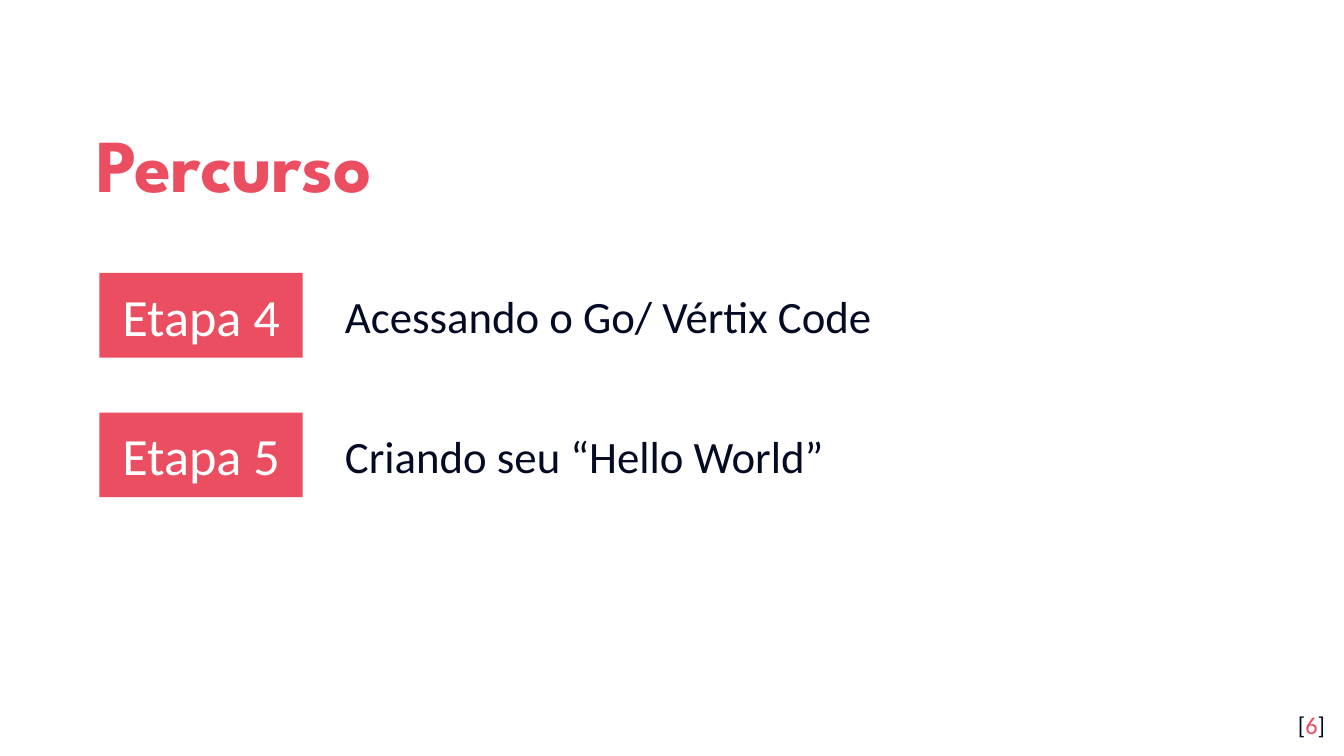
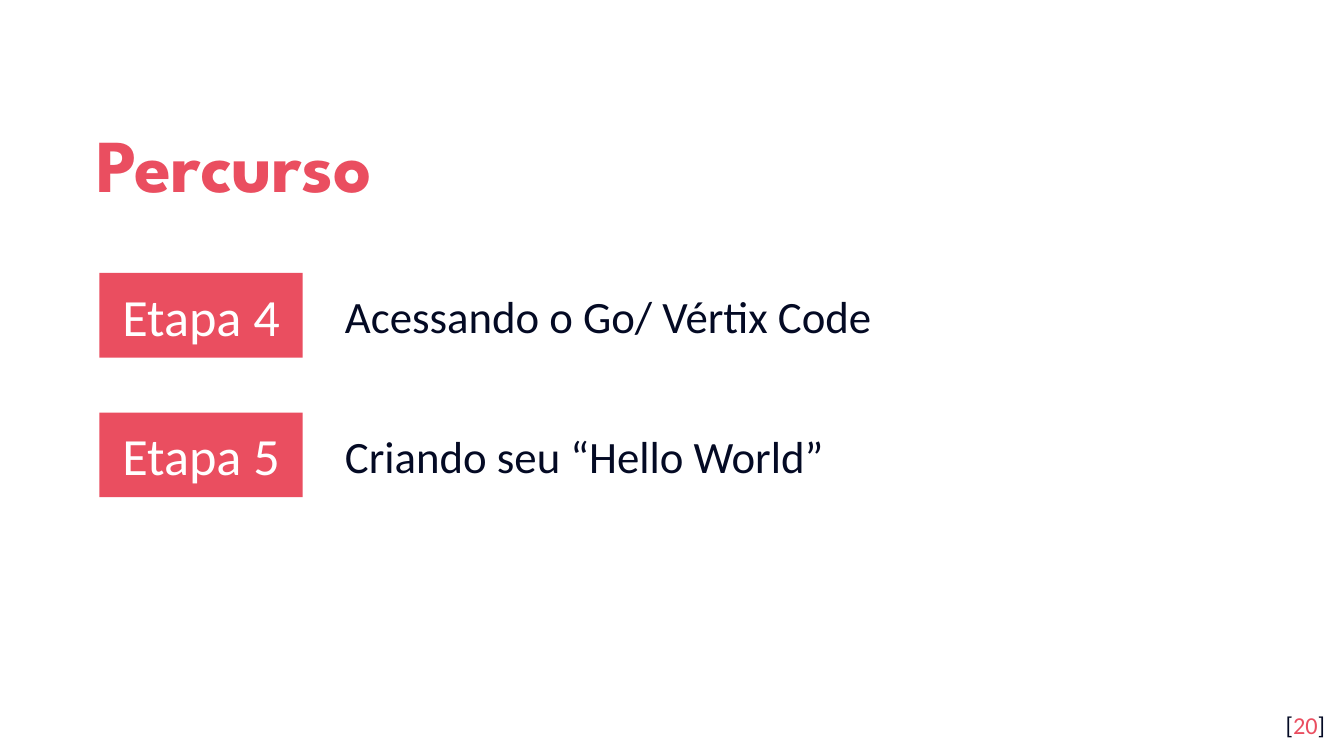
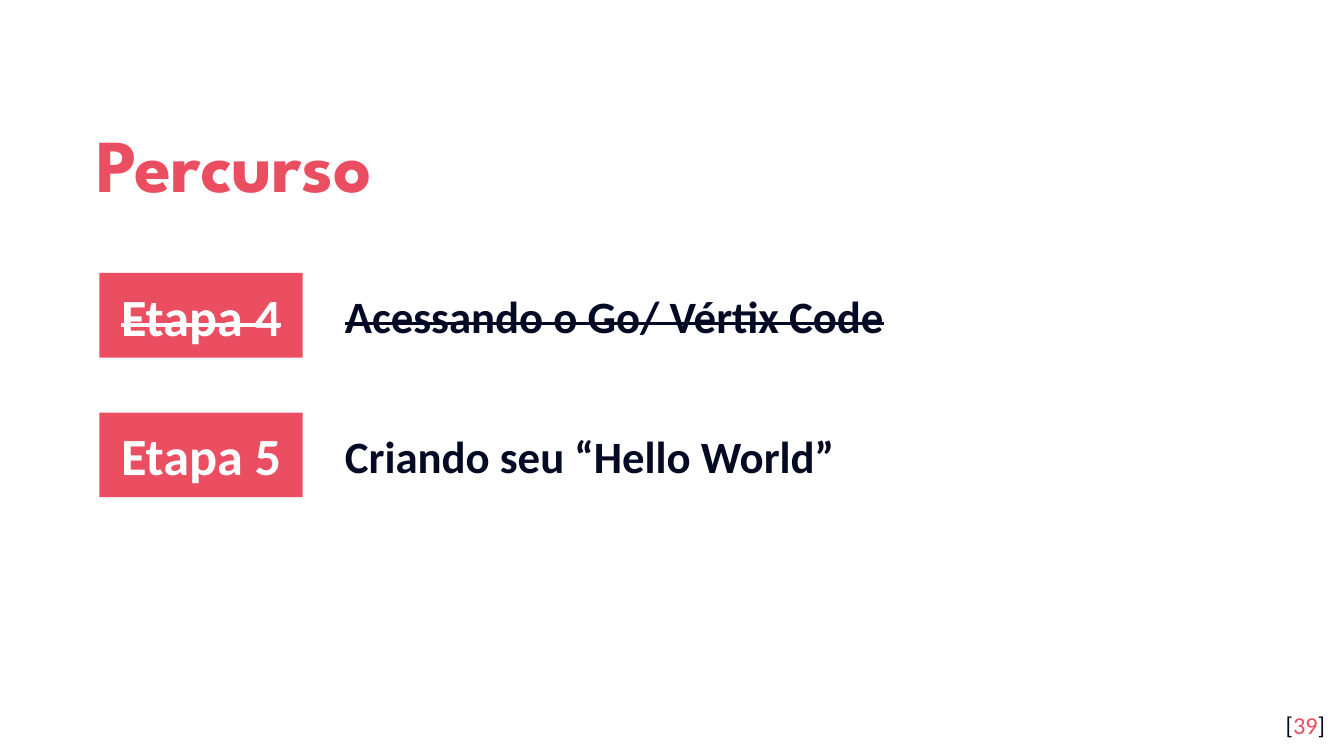
from pptx import Presentation
from pptx.dml.color import RGBColor
from pptx.enum.shapes import MSO_SHAPE
from pptx.enum.text import MSO_ANCHOR as ANCHOR, PP_ALIGN as ALIGN
from pptx.util import Cm, Pt

TITLE = "Percurso"
STEPS = [
    ("Etapa 4", "Acessando o Go/ Vértix Code"),
    ("Etapa 5", "Criando seu “Hello World”"),
]
SLIDES = [
    {"number": 6, "bold": False, "done": []},
    {"number": 20, "bold": False, "done": []},
    {"number": 39, "bold": True, "done": ["Etapa 4"]},
]

CORAL = RGBColor(0xEA, 0x4E, 0x60)
NAVY = RGBColor(0x04, 0x0A, 0x24)
WHITE = RGBColor(0xFF, 0xFF, 0xFF)
TITLE_FONT = "League Spartan"
BODY_FONT = "Calibri"

INSET = Cm(0.25)
HALF_INSET = Cm(0.13)
HANGING = Cm(1.27)
STEP_TOP = Cm(5.16)
STEP_PITCH = Cm(2.64)
BADGE_LEFT, BADGE_W, BADGE_H = Cm(1.88), Cm(3.84), Cm(1.6)
LABEL_LEFT, LABEL_W, LABEL_H = Cm(6.27), Cm(17.15), Cm(1.27)


def set_frame(sp, inset_y=INSET, anchor=ANCHOR.TOP):
    tf = sp.text_frame
    tf.word_wrap = True
    tf.vertical_anchor = anchor
    tf.margin_left = tf.margin_right = INSET
    tf.margin_top = tf.margin_bottom = inset_y
    return tf.paragraphs[0]


def set_font(p, size, color, name=BODY_FONT, bold=False):
    p.font.name, p.font.size, p.font.bold = name, Pt(size), bold
    p.font.color.rgb = color


def add_text(p, text, struck=False):
    r = p.add_run()
    r.text = text
    if struck:
        r._r.get_or_add_rPr().set("strike", "sngStrike")
    return r


def add_title(s):
    sp = s.shapes.add_textbox(Cm(1.57), Cm(1.78), Cm(20.57), Cm(2.34))
    p = set_frame(sp, anchor=ANCHOR.MIDDLE)
    p.line_spacing = 1.15
    set_font(p, 40, CORAL, TITLE_FONT, True)
    add_text(p, TITLE)


def add_step(s, top, badge, label, bold, struck):
    sp = s.shapes.add_shape(MSO_SHAPE.RECTANGLE, BADGE_LEFT, top, BADGE_W, BADGE_H)
    sp.shadow.inherit = False
    sp.fill.solid()
    sp.fill.fore_color.rgb = CORAL
    sp.line.fill.background()
    p = set_frame(sp, anchor=ANCHOR.MIDDLE)
    p.alignment = ALIGN.CENTER
    set_font(p, 28, WHITE, bold=bold)
    add_text(p, badge, struck)

    label_top = top + (BADGE_H - LABEL_H) // 2
    sp = s.shapes.add_textbox(LABEL_LEFT, label_top, LABEL_W, LABEL_H)
    p = set_frame(sp, HALF_INSET)
    pPr = p._p.get_or_add_pPr()
    pPr.set("marL", str(HANGING))
    pPr.set("indent", str(-HANGING))
    set_font(p, 24, NAVY, bold=bold)
    add_text(p, label, struck)


def add_page_number(s, number):
    sp = s.shapes.add_textbox(Cm(23.77), Cm(13.18), Cm(1.52), Cm(1.09))
    p = set_frame(sp)
    p.alignment = ALIGN.RIGHT
    set_font(p, 13, NAVY)
    add_text(p, "[")
    add_text(p, str(number)).font.color.rgb = CORAL
    add_text(p, "]")


def main():
    prs = Presentation()
    prs.slide_width, prs.slide_height = Cm(25.4), Cm(14.29)
    for page in SLIDES:
        s = prs.slides.add_slide(prs.slide_layouts[6])
        add_title(s)
        for i, (badge, label) in enumerate(STEPS):
            add_step(s, STEP_TOP + i * STEP_PITCH, badge, label,
                     page["bold"], badge in page["done"])
        add_page_number(s, page["number"])
    prs.save("out.pptx")


if __name__ == "__main__":
    main()
